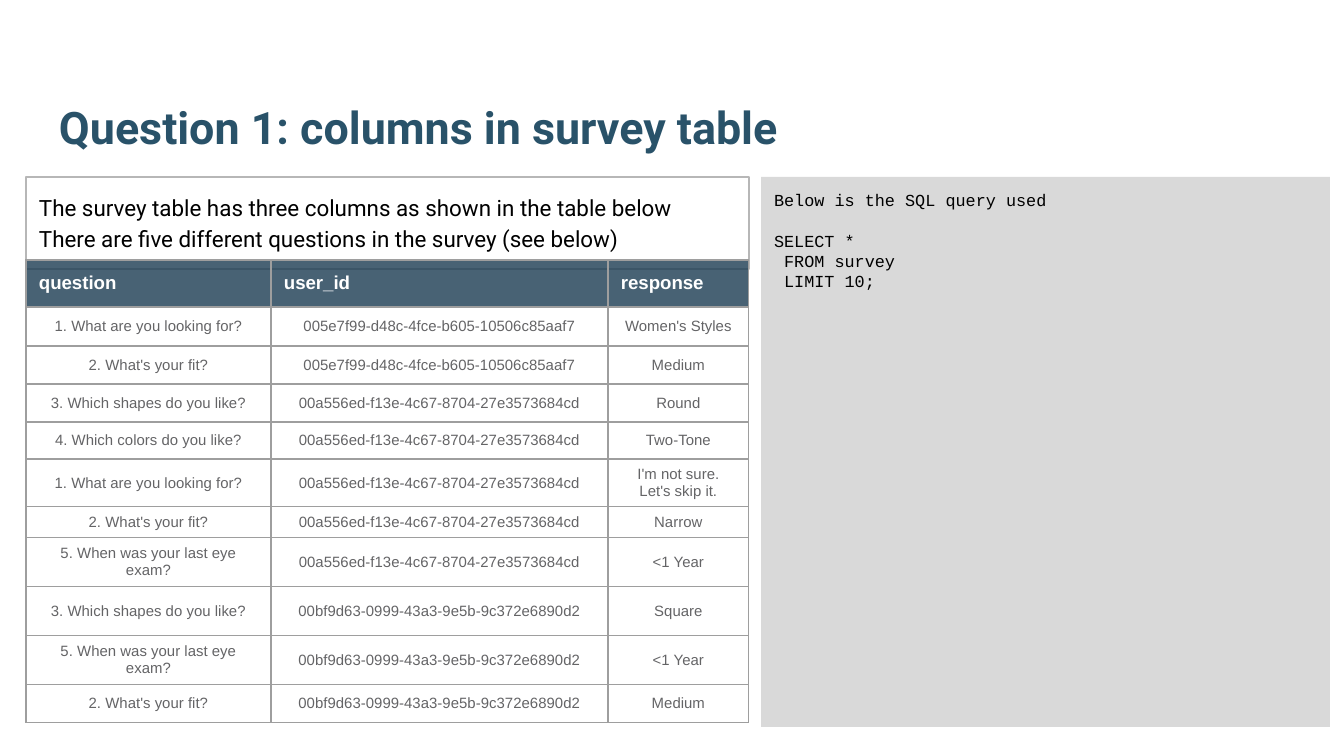
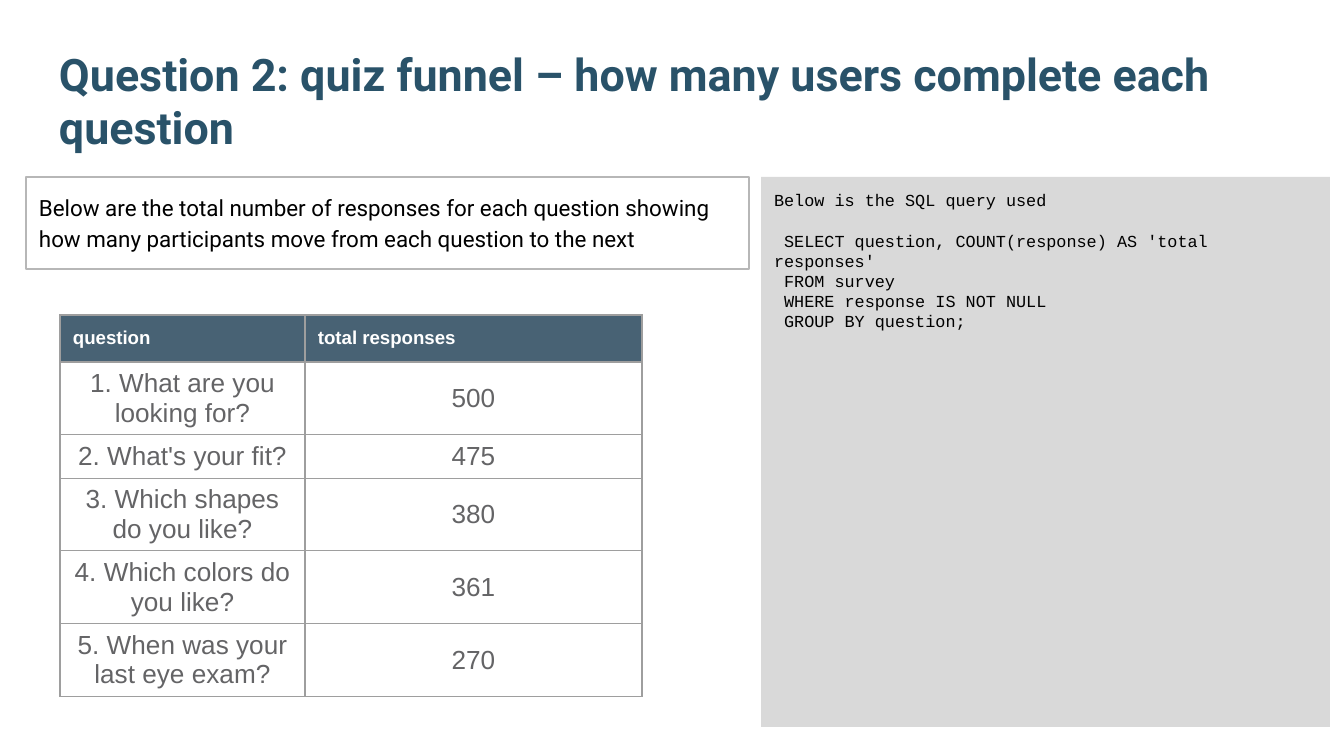
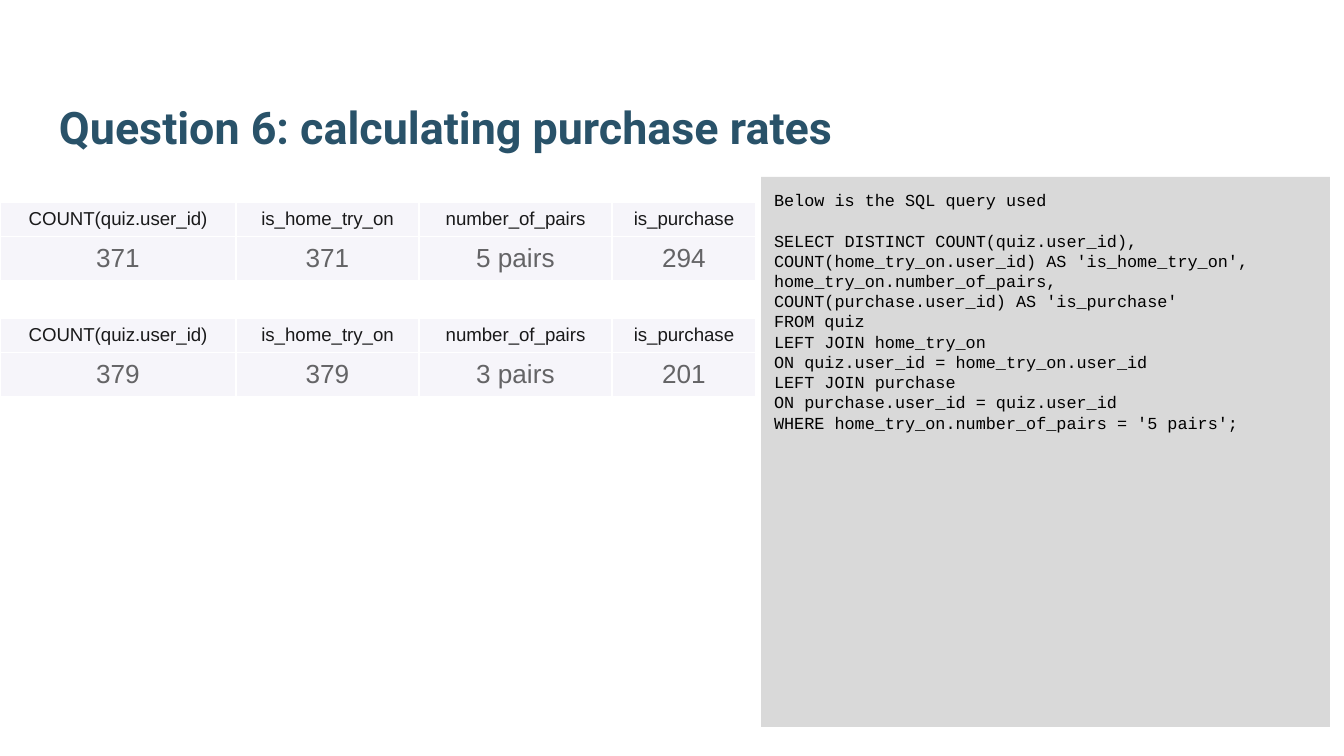
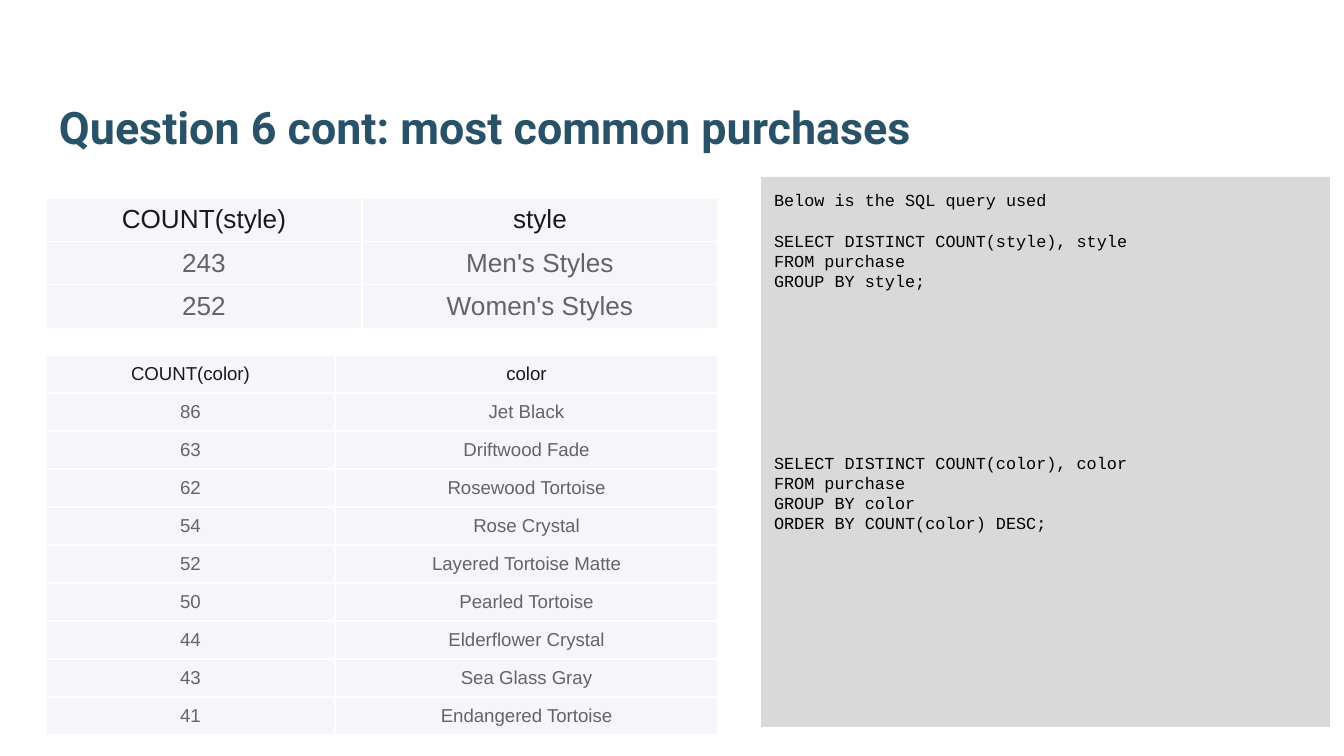
"""Build four survey-analysis slides that pair results with their SQL queries."""

from dataclasses import dataclass
from typing import NamedTuple, Optional

from lxml.etree import SubElement
from pptx import Presentation
from pptx.dml.color import RGBColor
from pptx.enum.shapes import MSO_SHAPE
from pptx.enum.text import MSO_ANCHOR, MSO_AUTO_SIZE, PP_ALIGN
from pptx.oxml.ns import qn
from pptx.util import Emu, Pt

PIXELS_PER_INCH = 134.4
TITLE_ONLY_LAYOUT = 5
INSET = 13
CELL_INSET = 7
CODE_LINE_POINTS = 10.8
HAIRLINE = 0.75

TITLE_COLOR = "295269"
TEXT_COLOR = "000000"
CELL_TEXT_COLOR = "646466"
PANEL_COLOR = "D9D9D9"
NOTE_BORDER_COLOR = "B7B7B7"


class Box(NamedTuple):
    left: int
    top: int
    width: int
    height: int


class Font(NamedTuple):
    name: str
    size: int
    color: str
    bold: bool = False


class CodeBlock(NamedTuple):
    lines: tuple[str, ...]
    blank_lines_above: int = 0


class TableLook(NamedTuple):
    border: str
    header_fill: str
    header_opacity: int
    header_color: str
    header_bold: bool
    header_align: PP_ALIGN
    header_anchor: MSO_ANCHOR
    header_inset: int
    body_fill: Optional[str]


@dataclass(frozen=True)
class ResultTable:
    left: int
    top: int
    columns: tuple[int, ...]
    row_heights: tuple[int, ...]
    header: tuple[str, ...]
    rows: tuple[tuple[str, ...], ...]
    look: TableLook
    header_size: int
    body_size: int


@dataclass(frozen=True)
class QuestionSlide:
    title: str
    queries: tuple[CodeBlock, ...]
    tables: tuple[ResultTable, ...]
    notes: tuple[str, ...] = ()


TITLE_BOX = Box(46, 43, 1253, 124)
CODE_BOX = Box(761, 177, 569, 550)
NOTE_BOX = Box(26, 177, 723, 92)
TITLE_FONT = Font("Roboto", 24, TITLE_COLOR, True)
NOTE_FONT = Font("Roboto", 12, TEXT_COLOR)
CODE_FONT = Font("Courier New", 9, TEXT_COLOR)
QUERY_INTRO = CodeBlock(("Below is the SQL query used",))

GRID_LOOK = TableLook("9E9E9E", "204056", 82, "FFFFFF", True,
                      PP_ALIGN.LEFT, MSO_ANCHOR.TOP, INSET, None)
PALE_LOOK = TableLook("FFFFFF", "F6F5FA", 100, "19191A", False,
                      PP_ALIGN.CENTER, MSO_ANCHOR.MIDDLE, CELL_INSET, "F6F5FA")

LOOKING_FOR = "1. What are you looking for?"
FIT = "2. What's your fit?"
SHAPES = "3. Which shapes do you like?"
COLORS = "4. Which colors do you like?"
EYE_EXAM = "5. When was your last eye exam?"
FIRST_USER = "005e7f99-d48c-4fce-b605-10506c85aaf7"
SECOND_USER = "00a556ed-f13e-4c67-8704-27e3573684cd"
THIRD_USER = "00bf9d63-0999-43a3-9e5b-9c372e6890d2"


def purchase_rate_table(top: int, users: str, pairs: str, purchases: str) -> ResultTable:
    """Describe the one-row purchase table of a home try-on group."""
    return ResultTable(
        0, top, (236, 183, 193, 144), (34, 43),
        ("COUNT(quiz.user_id)", "is_home_try_on", "number_of_pairs", "is_purchase"),
        ((users, users, pairs, purchases),), PALE_LOOK, 10, 14)


SURVEY_TABLE = ResultTable(
    26, 260, (245, 337, 141), (47, 39, 38, 38, 37, 47, 31, 49, 49, 49, 38),
    ("question", "user_id", "response"),
    (
        (LOOKING_FOR, FIRST_USER, "Women's Styles"),
        (FIT, FIRST_USER, "Medium"),
        (SHAPES, SECOND_USER, "Round"),
        (COLORS, SECOND_USER, "Two-Tone"),
        (LOOKING_FOR, SECOND_USER, "I'm not sure. Let's skip it."),
        (FIT, SECOND_USER, "Narrow"),
        (EYE_EXAM, SECOND_USER, "<1 Year"),
        (SHAPES, THIRD_USER, "Square"),
        (EYE_EXAM, THIRD_USER, "<1 Year"),
        (FIT, THIRD_USER, "Medium"),
    ),
    GRID_LOOK, 10, 8)

FUNNEL_TABLE = ResultTable(
    60, 315, (245, 337), (47, 72, 43, 72, 72, 72),
    ("question", "total responses"),
    (
        (LOOKING_FOR, "500"),
        (FIT, "475"),
        (SHAPES, "380"),
        (COLORS, "361"),
        (EYE_EXAM, "270"),
    ),
    GRID_LOOK, 10, 14)

STYLE_TABLE = ResultTable(
    46, 198, (316, 356), (43,) * 3,
    ("COUNT(style)", "style"),
    (("243", "Men's Styles"), ("252", "Women's Styles")),
    PALE_LOOK, 14, 14)

COLOR_TABLE = ResultTable(
    46, 355, (289, 383), (38,) * 10,
    ("COUNT(color)", "color"),
    (
        ("86", "Jet Black"),
        ("63", "Driftwood Fade"),
        ("62", "Rosewood Tortoise"),
        ("54", "Rose Crystal"),
        ("52", "Layered Tortoise Matte"),
        ("50", "Pearled Tortoise"),
        ("44", "Elderflower Crystal"),
        ("43", "Sea Glass Gray"),
        ("41", "Endangered Tortoise"),
    ),
    PALE_LOOK, 10, 10)

QUESTION_SLIDES = (
    QuestionSlide(
        "Question 1: columns in survey table",
        (CodeBlock(("SELECT *", " FROM survey", " LIMIT 10;"), 1),),
        (SURVEY_TABLE,),
        ("The survey table has three columns as shown in the table below",
         "There are five different questions in the survey (see below)")),
    QuestionSlide(
        "Question 2: quiz funnel – how many users complete each question",
        (CodeBlock((
            " SELECT question, COUNT(response) AS 'total responses'",
            " FROM survey",
            " WHERE response IS NOT NULL",
            " GROUP BY question;"), 1),),
        (FUNNEL_TABLE,),
        ("Below are the total number of responses for each question showing "
         "how many participants move from each question to the next",)),
    QuestionSlide(
        "Question 6: calculating purchase rates",
        (CodeBlock((
            "SELECT DISTINCT COUNT(quiz.user_id),",
            "COUNT(home_try_on.user_id) AS 'is_home_try_on',",
            "home_try_on.number_of_pairs,",
            "COUNT(purchase.user_id) AS 'is_purchase'",
            "FROM quiz",
            "LEFT JOIN home_try_on",
            "ON quiz.user_id = home_try_on.user_id",
            "LEFT JOIN purchase",
            "ON purchase.user_id = quiz.user_id",
            "WHERE home_try_on.number_of_pairs = '5 pairs';"), 1),),
        (purchase_rate_table(202, "371", "5 pairs", "294"),
         purchase_rate_table(318, "379", "3 pairs", "201"))),
    QuestionSlide(
        "Question 6 cont: most common purchases",
        (CodeBlock((
            "SELECT DISTINCT COUNT(style), style",
            "FROM purchase",
            "GROUP BY style;"), 1),
         CodeBlock((
             "SELECT DISTINCT COUNT(color), color",
             "FROM purchase",
             "GROUP BY color",
             "ORDER BY COUNT(color) DESC;"), 8)),
        (STYLE_TABLE, COLOR_TABLE)),
)


def px(length: int) -> Emu:
    """Turn a length in pixels into EMU."""
    return Emu(round(length * 914400 / PIXELS_PER_INCH))


def rgb(color: str) -> RGBColor:
    """Turn a hex string into a colour."""
    return RGBColor.from_string(color)


def add_text(paragraph, text: str, font: Font, align: PP_ALIGN = PP_ALIGN.LEFT) -> None:
    """Add one formatted run to a paragraph."""
    paragraph.alignment = align
    run = paragraph.add_run()
    run.text = text
    run.font.name = font.name
    run.font.size = Pt(font.size)
    run.font.bold = font.bold
    run.font.color.rgb = rgb(font.color)


def next_paragraph(text_frame, index: int):
    """Return the first paragraph for index zero and a new one otherwise."""
    return text_frame.add_paragraph() if index else text_frame.paragraphs[0]


def prepare_frame(shape, anchor: MSO_ANCHOR) -> None:
    """Give a shape's text frame even insets, wrapping and an anchor."""
    text_frame = shape.text_frame
    text_frame.word_wrap = True
    text_frame.auto_size = MSO_AUTO_SIZE.NONE
    text_frame.vertical_anchor = anchor
    text_frame.margin_left = text_frame.margin_right = px(INSET)
    text_frame.margin_top = text_frame.margin_bottom = px(INSET)


def add_title(slide, text: str) -> None:
    """Place and fill the title placeholder."""
    title = slide.shapes.title
    title.left, title.top, title.width, title.height = map(px, TITLE_BOX)
    prepare_frame(title, MSO_ANCHOR.BOTTOM)
    add_text(title.text_frame.paragraphs[0], text, TITLE_FONT)


def add_panel(slide, box: Box, fill: Optional[str], line: Optional[str]):
    """Add a rectangle ready for top-aligned text."""
    panel = slide.shapes.add_shape(MSO_SHAPE.RECTANGLE, *map(px, box))
    panel.shadow.inherit = False
    if fill:
        panel.fill.solid()
        panel.fill.fore_color.rgb = rgb(fill)
    else:
        panel.fill.background()
    if line:
        panel.line.color.rgb = rgb(line)
        panel.line.width = Pt(HAIRLINE)
    else:
        panel.line.fill.background()
    prepare_frame(panel, MSO_ANCHOR.TOP)
    return panel


def add_code(slide, queries: tuple[CodeBlock, ...]) -> None:
    """Add the grey panel with the introduction and its queries."""
    text_frame = add_panel(slide, CODE_BOX, PANEL_COLOR, None).text_frame
    lines = [(line, 0 if position else block.blank_lines_above)
             for block in (QUERY_INTRO, *queries)
             for position, line in enumerate(block.lines)]
    for index, (line, blank_lines) in enumerate(lines):
        paragraph = next_paragraph(text_frame, index)
        if blank_lines:
            paragraph.space_before = Pt(blank_lines * CODE_LINE_POINTS)
        add_text(paragraph, line, CODE_FONT)


def add_notes_box(slide, notes: tuple[str, ...]) -> None:
    """Add the outlined box with the findings."""
    text_frame = add_panel(slide, NOTE_BOX, None, NOTE_BORDER_COLOR).text_frame
    for index, note in enumerate(notes):
        paragraph = next_paragraph(text_frame, index)
        paragraph.line_spacing = 1.15
        add_text(paragraph, note, NOTE_FONT)


def set_borders(cell, color: str) -> None:
    """Draw a hairline on all four sides of a cell."""
    properties = cell._tc.get_or_add_tcPr()
    for side in ("a:lnL", "a:lnR", "a:lnT", "a:lnB"):
        line = SubElement(properties, qn(side), w=str(Pt(HAIRLINE)))
        fill = SubElement(line, qn("a:solidFill"))
        SubElement(fill, qn("a:srgbClr"), val=color)


def set_fill(cell, color: Optional[str], opacity: int = 100) -> None:
    """Fill a cell, partly transparent when opacity is below 100."""
    if color is None:
        cell.fill.background()
        return
    cell.fill.solid()
    cell.fill.fore_color.rgb = rgb(color)
    if opacity < 100:
        fill = cell._tc.get_or_add_tcPr().find(qn("a:solidFill"))
        SubElement(fill.find(qn("a:srgbClr")), qn("a:alpha"), val=str(opacity * 1000))


def format_cell(cell, text: str, result: ResultTable, is_header: bool) -> None:
    """Write and style one table cell."""
    look = result.look
    set_borders(cell, look.border)
    cell.margin_left = cell.margin_right = px(INSET)
    paragraph = cell.text_frame.paragraphs[0]
    if is_header:
        set_fill(cell, look.header_fill, look.header_opacity)
        cell.vertical_anchor = look.header_anchor
        cell.margin_top = cell.margin_bottom = px(look.header_inset)
        font = Font("Arial", result.header_size, look.header_color, look.header_bold)
        add_text(paragraph, text, font, look.header_align)
    else:
        set_fill(cell, look.body_fill)
        cell.vertical_anchor = MSO_ANCHOR.MIDDLE
        cell.margin_top = cell.margin_bottom = px(CELL_INSET)
        font = Font("Arial", result.body_size, CELL_TEXT_COLOR)
        add_text(paragraph, text, font, PP_ALIGN.CENTER)


def add_result_table(slide, result: ResultTable) -> None:
    """Add a result table with its header row."""
    box = Box(result.left, result.top, sum(result.columns), sum(result.row_heights))
    table = slide.shapes.add_table(
        len(result.row_heights), len(result.columns), *map(px, box)).table
    table.first_row = False
    table.horz_banding = False
    for column, width in zip(table.columns, result.columns):
        column.width = px(width)
    for row, height in zip(table.rows, result.row_heights):
        row.height = px(height)
    for row_index, texts in enumerate((result.header, *result.rows)):
        for column_index, text in enumerate(texts):
            format_cell(table.cell(row_index, column_index), text, result, row_index == 0)


def add_question_slide(presentation, question: QuestionSlide) -> None:
    """Add one slide with its title, query panel, findings and tables."""
    layout = presentation.slide_layouts[TITLE_ONLY_LAYOUT]
    slide = presentation.slides.add_slide(layout)
    add_title(slide, question.title)
    add_code(slide, question.queries)
    if question.notes:
        add_notes_box(slide, question.notes)
    for result in question.tables:
        add_result_table(slide, result)


def main() -> None:
    """Build and save the presentation."""
    presentation = Presentation()
    presentation.slide_width = px(1344)
    presentation.slide_height = px(756)
    for question in QUESTION_SLIDES:
        add_question_slide(presentation, question)
    presentation.save("out.pptx")


if __name__ == "__main__":
    main()
